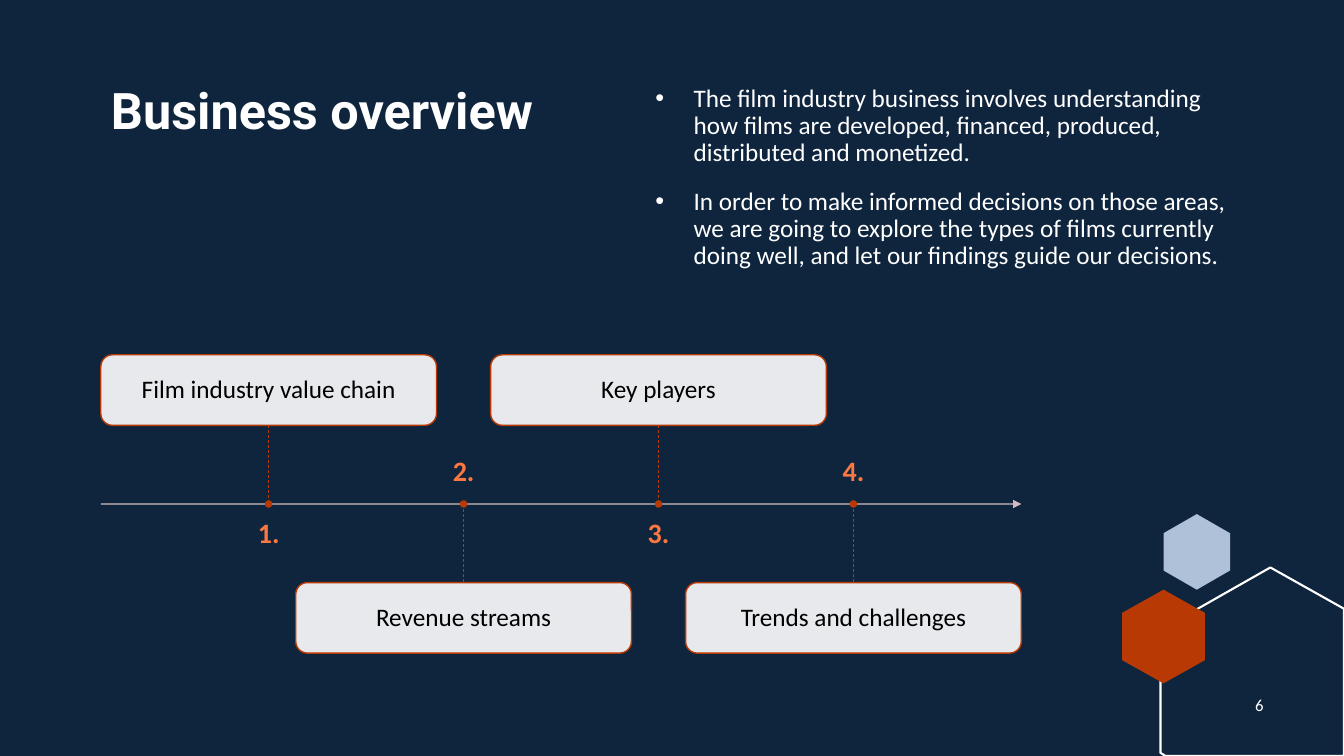
from dataclasses import dataclass

from lxml import etree
from pptx import Presentation
from pptx import util as u
from pptx.dml.color import RGBColor
from pptx.enum import dml, shapes, text
from pptx.oxml import ns


@dataclass(frozen=True)
class Theme:
    navy: str = "0F253E"
    white: str = "FFFFFF"
    black: str = "000000"
    rust: str = "B83903"
    orange: str = "FC7840"
    mist: str = "AEC1D8"
    blush: str = "E6CECC"
    heading_font: str = "Roboto"
    text_font: str = "Calibri"
    title_size: int = 36
    number_size: int = 20
    text_size: int = 18
    page_size: int = 12


@dataclass(frozen=True)
class Outline:
    points: tuple
    fill: str | None = None
    line: str | None = None


@dataclass(frozen=True)
class Topic:
    label: str
    above: bool


THEME = Theme()
AXIS_LEFT, AXIS_RIGHT, AXIS_Y = 1, 10.13, 5
BOX_WIDTH, BOX_HEIGHT = 3.33, 0.7
UPPER_TOP, LOWER_TOP = 3.52, 5.78
NUMBER_WIDTH, NUMBER_HEIGHT = 2.93, 0.46
DOT = 0.06

OUTLINES = [
    Outline(((11.87, 5.1), (12.2, 5.29), (12.2, 5.66), (11.87, 5.85),
             (11.54, 5.66), (11.54, 5.29)), fill=THEME.mist),
    Outline(((12.6, 5.63), (13.33, 6.04), (13.33, 7.5), (11.56, 7.5),
             (11.51, 7.47), (11.51, 6.25)), line=THEME.white),
    Outline(((11.54, 5.85), (11.95, 6.08), (11.95, 6.55), (11.54, 6.78),
             (11.13, 6.55), (11.13, 6.08)), fill=THEME.rust),
]
TOPICS = [
    Topic("Film industry value chain", True),
    Topic("Revenue streams", False),
    Topic("Key players", True),
    Topic("Trends and challenges", False),
]
POINTS = [
    "The film industry business involves understanding how films are developed, "
    "financed, produced, distributed and monetized.",
    "In order to make informed decisions on those areas, we are going to explore "
    "the types of films currently doing well, and let our findings guide our decisions.",
]


def place(shape, left: float, top: float, width: float, height: float) -> None:
    shape.left, shape.top = u.Inches(left), u.Inches(top)
    shape.width, shape.height = u.Inches(width), u.Inches(height)


def set_frame(frame, anchor, inset: float | None = None) -> None:
    frame.word_wrap = True
    frame.auto_size = text.MSO_AUTO_SIZE.NONE
    frame.vertical_anchor = anchor
    if inset is not None:
        frame.margin_left = frame.margin_right = u.Inches(inset)
        frame.margin_top = frame.margin_bottom = u.Inches(inset)


def write(paragraph, words: str, size: int, color: str, bold: bool = False,
          font: str = THEME.text_font, align=text.PP_ALIGN.CENTER) -> None:
    paragraph.alignment = align
    paragraph.line_spacing = 0.9
    run = paragraph.add_run()
    run.text = words
    run.font.name, run.font.size, run.font.bold = font, u.Pt(size), bold
    run.font.color.rgb = RGBColor.from_string(color)


def set_opacity(element, percent: int) -> None:
    color = element.find(".//" + ns.qn("a:srgbClr"))
    etree.SubElement(color, ns.qn("a:alpha"), val=str(percent * 1000))


def paint(shape, fill: str | None, line: str | None, weight: float = 1) -> None:
    shape.shadow.inherit = False
    if fill:
        shape.fill.solid()
        shape.fill.fore_color.rgb = RGBColor.from_string(fill)
    else:
        shape.fill.background()
    if line:
        shape.line.color.rgb = RGBColor.from_string(line)
        shape.line.width = u.Pt(weight)
    else:
        shape.line.fill.background()


def add_rule(slide, x1: float, y1: float, x2: float, y2: float,
             color: str, weight: float):
    rule = slide.shapes.add_connector(
        shapes.MSO_CONNECTOR.STRAIGHT, *map(u.Inches, (x1, y1, x2, y2)))
    rule.line.color.rgb = RGBColor.from_string(color)
    rule.line.width = u.Pt(weight)
    etree.SubElement(rule._element.spPr, ns.qn("a:effectLst"))
    return rule


def add_label(slide, words: str, left: float, top: float, width: float, height: float,
              anchor, size: int, color: str, bold: bool = False,
              inset: float | None = None) -> None:
    label = slide.shapes.add_textbox(*map(u.Inches, (left, top, width, height)))
    set_frame(label.text_frame, anchor, inset)
    write(label.text_frame.paragraphs[0], words, size, color, bold)


def add_outline(slide, outline: Outline) -> None:
    corners = [(u.Inches(x), u.Inches(y)) for x, y in outline.points]
    builder = slide.shapes.build_freeform(*corners[0], scale=1.0)
    builder.add_line_segments(corners[1:], close=True)
    paint(builder.convert_to_shape(), outline.fill, outline.line, 1.5)


def add_heading(slide) -> None:
    title = slide.shapes.title
    place(title, 1, 0.8, 5.1, 1.9)
    set_frame(title.text_frame, text.MSO_ANCHOR.TOP)
    write(title.text_frame.paragraphs[0], "Business overview", THEME.title_size,
          THEME.white, True, THEME.heading_font, text.PP_ALIGN.LEFT)


def add_points(slide) -> None:
    body = slide.placeholders[1]
    place(body, 6.4, 0.8, 6, 2.25)
    frame = body.text_frame
    set_frame(frame, text.MSO_ANCHOR.TOP)
    for index, point in enumerate(POINTS):
        paragraph = frame.add_paragraph() if index else frame.paragraphs[0]
        write(paragraph, point, THEME.text_size, THEME.white, align=text.PP_ALIGN.LEFT)
        paragraph.space_before = u.Pt(15)
        properties = paragraph._p.get_or_add_pPr()
        properties.set("marL", str(u.Inches(0.38)))
        properties.set("indent", str(-u.Inches(0.38)))
        etree.SubElement(properties, ns.qn("a:buChar"), char="•")


def add_axis(slide) -> None:
    axis = add_rule(slide, AXIS_LEFT, AXIS_Y, AXIS_RIGHT, AXIS_Y, THEME.blush, 1)
    stroke = axis.line._get_or_add_ln()
    set_opacity(stroke, 90)
    etree.SubElement(stroke, ns.qn("a:tailEnd"), type="triangle")


def add_topic(slide, index: int, topic: Topic) -> None:
    pitch = (AXIS_RIGHT - AXIS_LEFT - BOX_WIDTH) / (len(TOPICS) - 1)
    left = AXIS_LEFT + index * pitch
    center = left + BOX_WIDTH / 2
    top = UPPER_TOP if topic.above else LOWER_TOP

    box = slide.shapes.add_shape(
        shapes.MSO_SHAPE.ROUNDED_RECTANGLE,
        *map(u.Inches, (left, top, BOX_WIDTH, BOX_HEIGHT)))
    paint(box, THEME.white, THEME.rust)
    set_opacity(box._element.spPr.find(ns.qn("a:solidFill")), 90)
    set_frame(box.text_frame, text.MSO_ANCHOR.MIDDLE, 0.17)
    write(box.text_frame.paragraphs[0], topic.label, THEME.text_size, THEME.black)

    start, end = (top + BOX_HEIGHT, AXIS_Y) if topic.above else (AXIS_Y, top)
    stem = add_rule(slide, center, start, center, end, THEME.rust, 0.5)
    stem.line.dash_style = dml.MSO_LINE.DASH
    if topic.above:
        stem.begin_connect(box, 2)
    else:
        stem.end_connect(box, 0)

    dot = slide.shapes.add_shape(
        shapes.MSO_SHAPE.OVAL,
        *map(u.Inches, (center - DOT / 2, AXIS_Y - DOT / 2, DOT, DOT)))
    paint(dot, THEME.rust, THEME.rust)

    number_top, anchor = ((5.15, text.MSO_ANCHOR.TOP) if topic.above
                          else (4.38, text.MSO_ANCHOR.BOTTOM))
    add_label(slide, f"{index + 1}.", center - NUMBER_WIDTH / 2, number_top,
              NUMBER_WIDTH, NUMBER_HEIGHT, anchor, THEME.number_size,
              THEME.orange, True, 0)


def main() -> None:
    deck = Presentation()
    deck.slide_width, deck.slide_height = u.Inches(13.33), u.Inches(7.5)
    slide = deck.slides.add_slide(deck.slide_layouts[1])
    slide.background.fill.solid()
    slide.background.fill.fore_color.rgb = RGBColor.from_string(THEME.navy)
    for outline in OUTLINES:
        add_outline(slide, outline)
    add_heading(slide)
    add_points(slide)
    add_axis(slide)
    for index, topic in enumerate(TOPICS):
        add_topic(slide, index, topic)
    add_label(slide, "6", 12.24, 6.8, 0.5, 0.4, text.MSO_ANCHOR.MIDDLE,
              THEME.page_size, THEME.white)
    deck.save("out.pptx")


if __name__ == "__main__":
    main()
